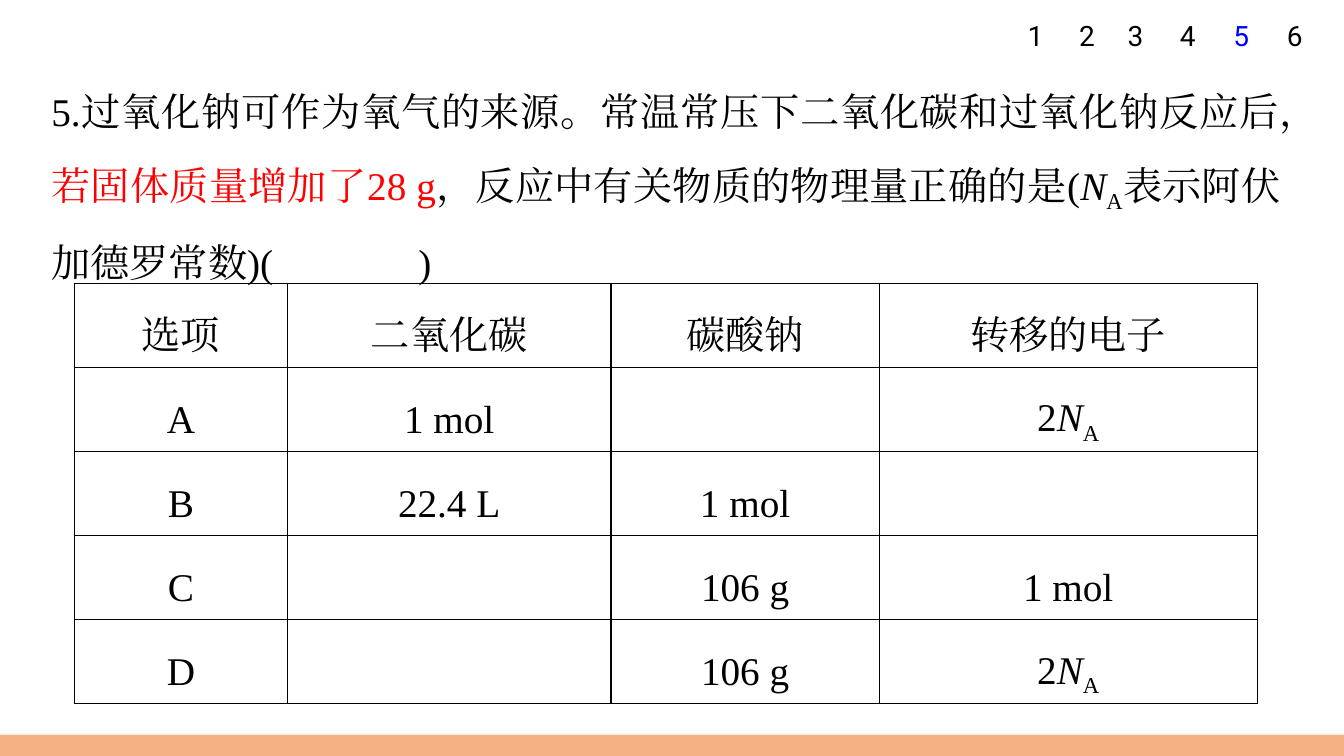
from dataclasses import dataclass

import pptx
import pptx.dml.color
import pptx.enum.lang
import pptx.enum.shapes
import pptx.enum.text
import pptx.oxml
import pptx.oxml.ns
import pptx.util

EMU_PER_PX = 9144  # 100 px to the inch
ALIGN = pptx.enum.text.PP_ALIGN
ANCHOR = pptx.enum.text.MSO_ANCHOR
NAMESPACE = pptx.oxml.ns.nsdecls("a")


@dataclass(frozen=True)
class Theme:
    ink: str = "000000"
    highlight: str = "FF0000"
    current: str = "0000FF"
    footer: str = "F4B183"
    body_font: str = "Times New Roman"
    number_font: str = "Roboto"
    body_size: int = 28
    number_size: int = 20
    line_spacing: float = 1.5


THEME = Theme()

# Each span is its text and its format
AVOGADRO = [("N", {"italic": True}), ("A", {"subscript": True})]
QUESTION = [
    ("5.过氧化钠可作为氧气的来源。常温常压下二氧化碳和过氧化钠反应后，", {}),
    ("若固体质量增加了28 g", {"color": THEME.highlight}),
    ("，反应中有关物质的物理量正确的是(", {}),
    *AVOGADRO,
    ("表示阿伏加德罗常数)(\t)", {}),
]
ELECTRONS = [("2", {}), *AVOGADRO]
OPTIONS = [
    ["选项", "二氧化碳", "碳酸钠", "转移的电子"],
    ["A", "1 mol", "", ELECTRONS],
    ["B", "22.4 L", "1 mol", ""],
    ["C", "", "106 g", "1 mol"],
    ["D", "", "106 g", ELECTRONS],
]
COLUMN_WIDTHS = [211, 321, 266, 375]
NUMBER_PLACES = [(1005, 43), (1058, 41), (1109, 38), (1156, 43), (1209, 43), (1262, 43)]
CURRENT_NUMBER = 5


def px(length):
    return pptx.util.Emu(length * EMU_PER_PX)


def rgb(color):
    return pptx.dml.color.RGBColor.from_string(color)


def add_span(para, text, *, font=THEME.body_font, size=THEME.body_size,
             color=THEME.ink, italic=False, subscript=False):
    span = para.add_run()
    span.text = text
    span.font.name = font
    span.font.size = pptx.util.Pt(size)
    span.font.italic = italic
    span.font.color.rgb = rgb(color)
    span.font.language_id = pptx.enum.lang.MSO_LANGUAGE_ID.SIMPLIFIED_CHINESE
    properties = span.font._element
    properties.append(pptx.oxml.parse_xml(f'<a:ea {NAMESPACE} typeface="{font}"/>'))
    if subscript:
        properties.set("baseline", "-25000")


def write_text(frame, spans, *, align, line_spacing=None, tab=None, **text_format):
    para = frame.paragraphs[0]
    para.alignment = align
    para.line_spacing = line_spacing
    if tab:
        para._p.get_or_add_pPr().append(pptx.oxml.parse_xml(
            f'<a:tabLst {NAMESPACE}><a:tab pos="{px(tab)}" algn="l"/></a:tabLst>'))
    if isinstance(spans, str):
        spans = [(spans, {})]
    for text, span_format in spans:
        add_span(para, text, **{**text_format, **span_format})


def place(shape, left, top, width, height):
    shape.left, shape.top = px(left), px(top)
    shape.width, shape.height = px(width), px(height)


def set_frame(frame, *, anchor, wrap):
    frame.margin_left = frame.margin_right = px(13)
    frame.margin_top = frame.margin_bottom = px(7)
    frame.vertical_anchor = anchor
    frame.word_wrap = wrap
    frame.auto_size = pptx.enum.text.MSO_AUTO_SIZE.NONE


def add_question(page):
    title = page.shapes.title
    place(title, 38, 56, 1245, 226)
    set_frame(title.text_frame, anchor=ANCHOR.TOP, wrap=True)
    write_text(title.text_frame, QUESTION, align=ALIGN.JUSTIFY,
               line_spacing=THEME.line_spacing, tab=364)


def outline_cell(cell):
    properties = cell._tc.get_or_add_tcPr()
    for index, side in enumerate(("lnL", "lnR", "lnT", "lnB")):
        properties.insert(index, pptx.oxml.parse_xml(
            f'<a:{side} {NAMESPACE} w="{pptx.util.Pt(1)}"><a:solidFill>'
            f'<a:srgbClr val="{THEME.ink}"/></a:solidFill></a:{side}>'))


def add_options_table(page):
    height = px(417)
    table = page.shapes.add_table(len(OPTIONS), len(COLUMN_WIDTHS), px(74), px(281),
                                  px(sum(COLUMN_WIDTHS)), height).table
    table.first_row = table.horz_banding = False
    for column, width in zip(table.columns, COLUMN_WIDTHS):
        column.width = px(width)
    for row, contents in zip(table.rows, OPTIONS):
        row.height = height // len(OPTIONS)
        for cell, content in zip(row.cells, contents):
            cell.margin_left = cell.margin_right = px(4)
            cell.margin_top = cell.margin_bottom = 0
            cell.vertical_anchor = ANCHOR.MIDDLE
            cell.fill.background()
            outline_cell(cell)
            if content:
                write_text(cell.text_frame, content, align=ALIGN.CENTER,
                           line_spacing=THEME.line_spacing)


def add_page_number(page, number, left, width):
    box = page.shapes.add_textbox(px(left), px(4), px(width), px(63))
    set_frame(box.text_frame, anchor=ANCHOR.MIDDLE, wrap=False)
    write_text(box.text_frame, str(number), align=ALIGN.RIGHT,
               font=THEME.number_font, size=THEME.number_size,
               color=THEME.current if number == CURRENT_NUMBER else THEME.ink)


def add_footer(page):
    bar = page.shapes.add_shape(pptx.enum.shapes.MSO_SHAPE.RECTANGLE,
                                px(0), px(729), px(1334), px(21))
    bar.fill.solid()
    bar.fill.fore_color.rgb = rgb(THEME.footer)
    bar.line.fill.background()
    bar.shadow.inherit = False
    effects = bar._element.spPr.find(pptx.oxml.ns.qn("a:effectLst"))
    effects.append(pptx.oxml.parse_xml(
        f'<a:outerShdw {NAMESPACE} blurRad="{pptx.util.Pt(3.1)}" '
        f'dist="{pptx.util.Pt(1.6)}" dir="5400000" rotWithShape="0">'
        f'<a:srgbClr val="{THEME.ink}"><a:alpha val="38000"/></a:srgbClr></a:outerShdw>'))


def main():
    deck = pptx.Presentation()
    deck.slide_width, deck.slide_height = px(1333), px(750)
    page = deck.slides.add_slide(deck.slide_layouts.get_by_name("Title Only"))

    # Question and its answer options
    add_question(page)
    add_options_table(page)

    # Question numbers at the top right
    for number, (left, width) in enumerate(NUMBER_PLACES, start=1):
        add_page_number(page, number, left, width)

    # Bar along the bottom edge
    add_footer(page)
    deck.save("out.pptx")


if __name__ == "__main__":
    main()
